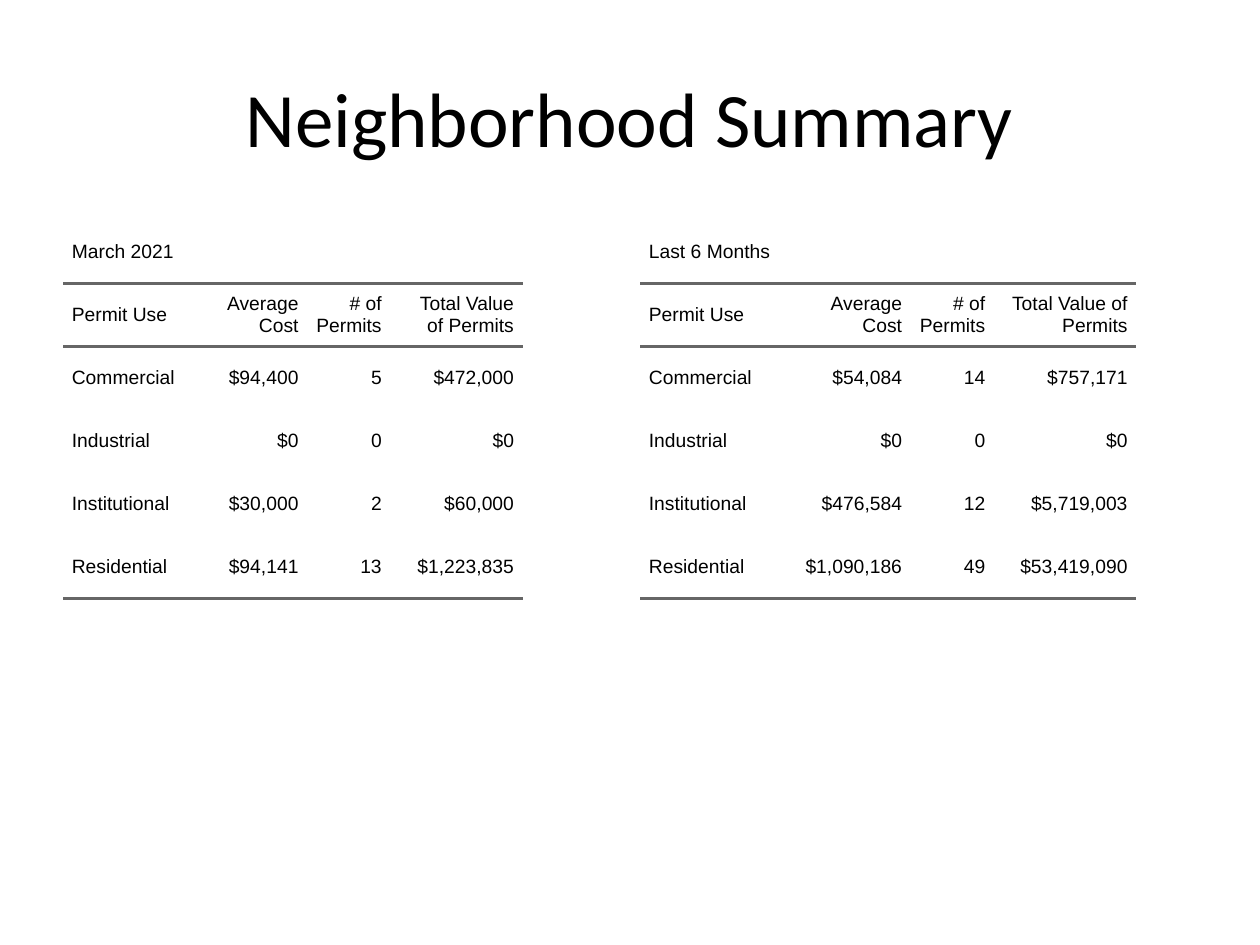
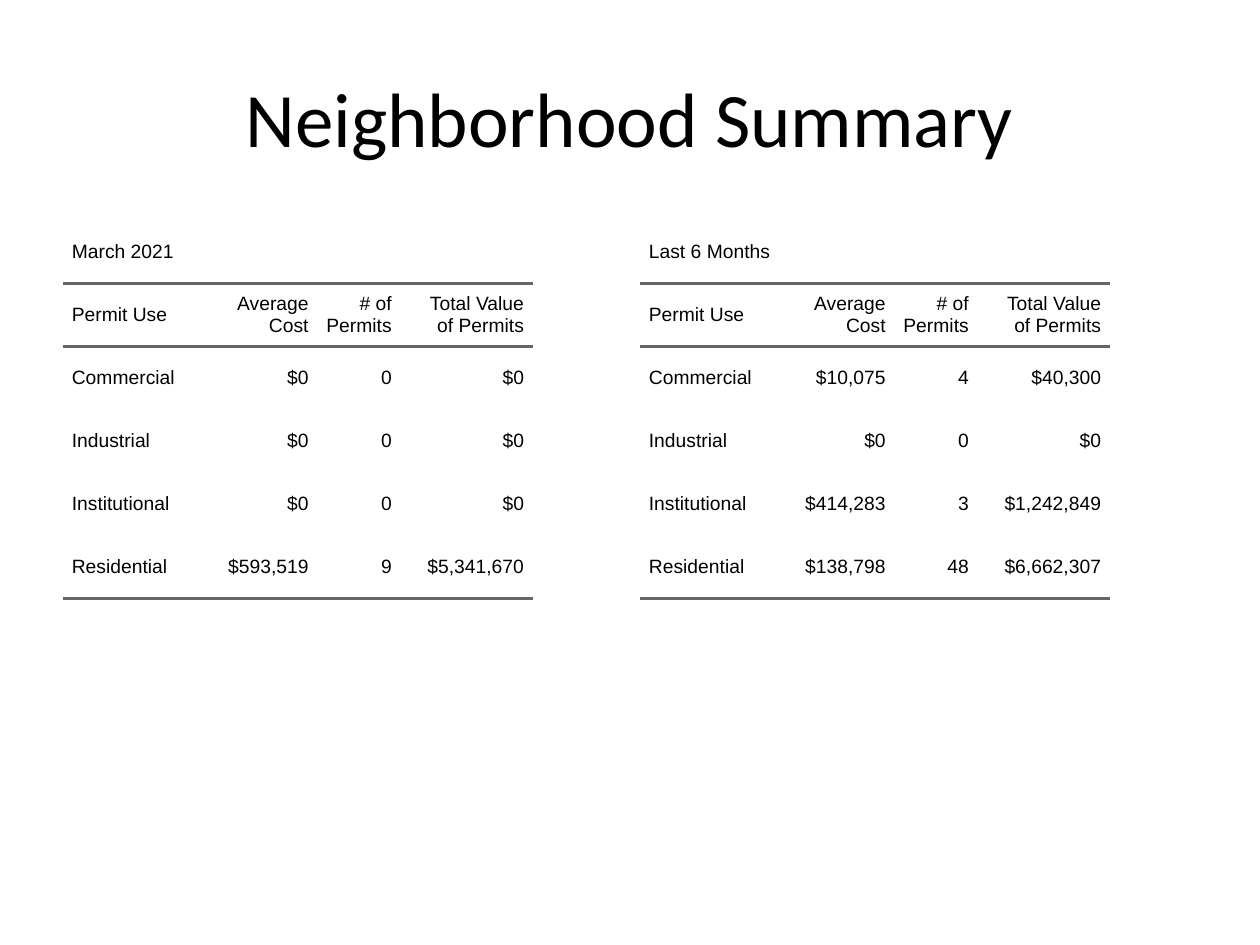
from lxml import etree
from pptx import Presentation
from pptx.dml.color import RGBColor
from pptx.enum.text import MSO_ANCHOR, PP_ALIGN
from pptx.oxml.ns import qn
from pptx.util import Inches, Pt

BLACK = RGBColor(0x00, 0x00, 0x00)
RULE_GRAY = RGBColor(0x66, 0x66, 0x66)
MIDDLE = MSO_ANCHOR.MIDDLE
LEFT, CENTER, RIGHT = PP_ALIGN.LEFT, PP_ALIGN.CENTER, PP_ALIGN.RIGHT

TITLE_FONT, TABLE_FONT = "Calibri", "Arial"
PLAIN_TABLE_STYLE = "{2D5ABB26-0587-4C30-8999-92F81FD0307C}"
TITLE_ONLY = 5
TITLE = "Neighborhood Summary"
TITLE_BOX = (0.5, 0.3, 9, 1.25)
MONTH_BOX = (0.5, 1.75, 4.42, 4.95)
HALF_YEAR_BOX = (5.08, 1.75, 4.42, 4.95)
ROW_HEIGHT = 0.5
CELL_INDENT = Inches(0.07)

MONTH, HALF_YEAR = "March 2021", "Last 6 Months"
HEADERS = ("Permit Use", "Average Cost", "# of Permits", "Total Value of Permits")
USES = ("Commercial", "Industrial", "Institutional", "Residential")
USE_WIDTH, COUNT_WIDTH = 1.1, 0.66

NEIGHBORHOODS = [
    [
        (MONTH_BOX, MONTH, 0.84, 1.05,
         [("$94,400", "5", "$472,000"), ("$0", "0", "$0"),
          ("$30,000", "2", "$60,000"), ("$94,141", "13", "$1,223,835")]),
        (HALF_YEAR_BOX, HALF_YEAR, 1.05, 1.13,
         [("$54,084", "14", "$757,171"), ("$0", "0", "$0"),
          ("$476,584", "12", "$5,719,003"), ("$1,090,186", "49", "$53,419,090")]),
    ],
    [
        (MONTH_BOX, MONTH, 0.92, 1.05,
         [("$0", "0", "$0"), ("$0", "0", "$0"),
          ("$0", "0", "$0"), ("$593,519", "9", "$5,341,670")]),
        (HALF_YEAR_BOX, HALF_YEAR, 0.92, 1.05,
         [("$10,075", "4", "$40,300"), ("$0", "0", "$0"),
          ("$414,283", "3", "$1,242,849"), ("$138,798", "48", "$6,662,307")]),
    ],
]


def add_rule(cell, side):
    ln = etree.SubElement(cell._tc.get_or_add_tcPr(), qn(f"a:ln{side}"), w=str(Pt(2)))
    fill = etree.SubElement(ln, qn("a:solidFill"))
    etree.SubElement(fill, qn("a:srgbClr"), val=str(RULE_GRAY))


def fill_cell(cell, text, align, rules):
    cell.margin_left = cell.margin_right = cell.margin_top = cell.margin_bottom = 0
    cell.vertical_anchor = MIDDLE
    for side in rules:
        add_rule(cell, side)
    cell.fill.background()
    p = cell.text_frame.paragraphs[0]
    p.text = text
    p.alignment = align
    p.space_before = p.space_after = Pt(5)
    pPr = p._p.get_or_add_pPr()
    for margin in ("marL", "marR"):
        pPr.set(margin, str(CELL_INDENT))
    pPr.set("indent", "0")
    for r in p.runs:
        r.font.name = TABLE_FONT
        r.font.size = Pt(11)
        r.font.color.rgb = BLACK


def add_permit_table(s, box, period, cost_width, value_width, figures):
    rows = [(period, "", "", ""), HEADERS]
    rows += [(use, *values) for use, values in zip(USES, figures)]
    left, top, width, height = (Inches(v) for v in box)
    frame = s.shapes.add_table(len(rows), len(HEADERS), left, top, width, height)
    table = frame.table
    table.first_row = table.horz_banding = False
    table._tbl.tblPr.find(qn("a:tableStyleId")).text = PLAIN_TABLE_STYLE
    widths = (USE_WIDTH, cost_width, COUNT_WIDTH, value_width)
    for column, column_width in zip(table.columns, widths):
        column.width = Inches(column_width)
    for row in table.rows:
        row.height = Inches(ROW_HEIGHT)
    frame.width, frame.height = width, height
    rules = {1: "TB", len(rows) - 1: "B"}
    for i, row in enumerate(rows):
        for j, text in enumerate(row):
            fill_cell(table.cell(i, j), text, RIGHT if j else LEFT, rules.get(i, ""))
    table.cell(0, 0).merge(table.cell(0, len(HEADERS) - 1))


def add_title(s, box):
    title = s.shapes.title
    title.left, title.top, title.width, title.height = (Inches(v) for v in box)
    tf = title.text_frame
    tf.text = TITLE
    tf.vertical_anchor = MIDDLE
    p = tf.paragraphs[0]
    p.alignment = CENTER
    font = p.runs[0].font
    font.name, font.size = TITLE_FONT, Pt(44)
    font.color.rgb = BLACK


def add_summary_slide(prs, tables):
    s = prs.slides.add_slide(prs.slide_layouts[TITLE_ONLY])
    add_title(s, TITLE_BOX)
    for table in tables:
        add_permit_table(s, *table)


def main():
    prs = Presentation()
    prs.slide_width, prs.slide_height = Inches(10), Inches(7.5)
    for tables in NEIGHBORHOODS:
        add_summary_slide(prs, tables)
    prs.save("out.pptx")


if __name__ == "__main__":
    main()
